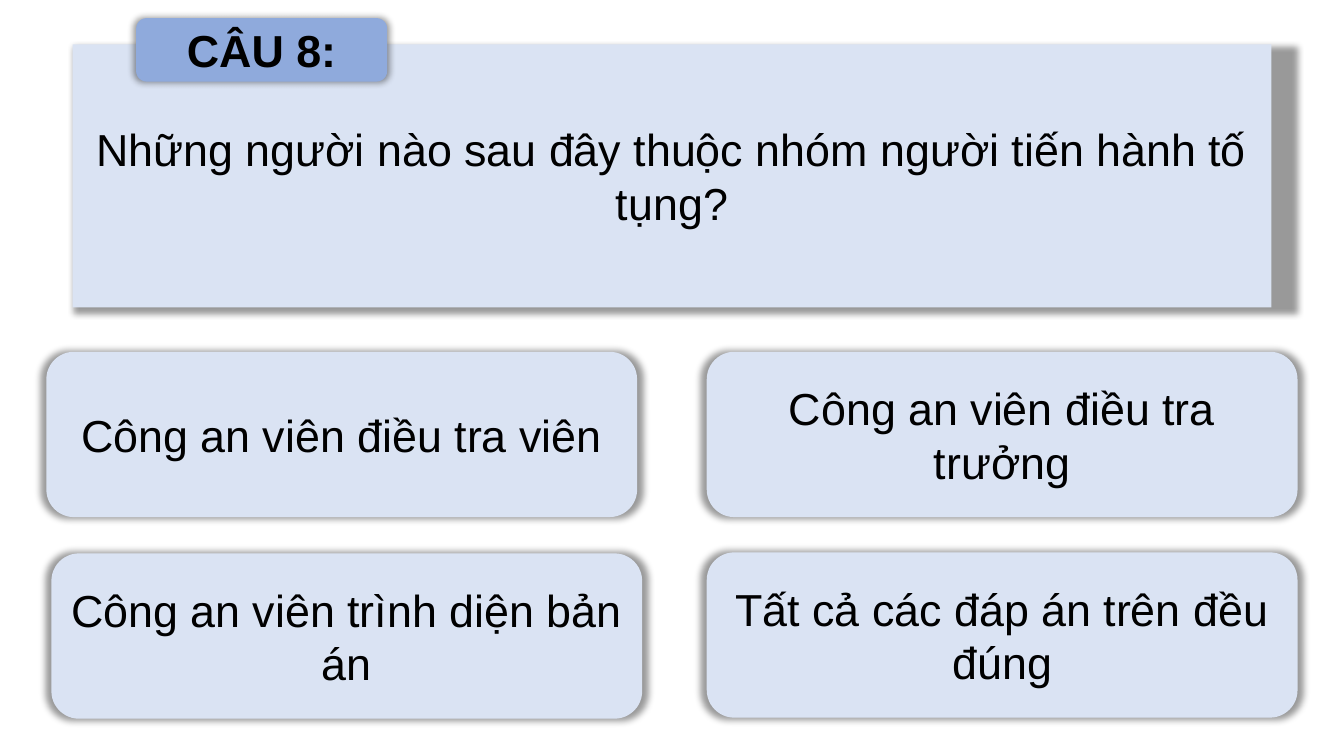
"""Build a quiz slide with one question and four answer cards."""
from lxml import etree
from pptx import Presentation
from pptx.dml.color import RGBColor
from pptx.enum.shapes import MSO_SHAPE
from pptx.enum.text import MSO_ANCHOR, MSO_AUTO_SIZE, PP_ALIGN
from pptx.oxml import parse_xml
from pptx.oxml.ns import nsdecls, qn
from pptx.util import Inches, Pt

COLORS = {"card": "DAE3F3", "badge": "8FAADC", "text": "000000", "shadow": "000000"}
FONT = {"name": "Arial", "size": Pt(32), "bold": False}
FRAME = {
    "word_wrap": True,
    "auto_size": MSO_AUTO_SIZE.NONE,
    "vertical_anchor": MSO_ANCHOR.MIDDLE,
}
ANSWER_SIZE = (5.86, 1.64)
ANSWERS = [
    ("Công an viên điều tra viên", 0.46, 3.49),
    ("Công an viên điều tra trưởng", 7.01, 3.49),
    ("Công an viên trình diện bản án", 0.51, 5.49),
    ("Tất cả các đáp án trên đều đúng", 7.01, 5.48),
]


def apply(target, values):
    for name, value in values.items():
        setattr(target, name, value)


def add_glow_shadow(card):
    card.shadow.inherit = False
    effects = card._element.spPr.find(qn("a:effectLst"))
    effects.append(parse_xml(
        f'<a:outerShdw {nsdecls("a")} blurRad="{Pt(5)}" sx="102000" sy="102000" '
        f'algn="ctr" rotWithShape="0"><a:srgbClr val="{COLORS["shadow"]}">'
        '<a:alpha val="40000"/></a:srgbClr></a:outerShdw>'))


def style_card(card, text, color="card", bold=False):
    card.fill.solid()
    card.fill.fore_color.rgb = RGBColor.from_string(COLORS[color])
    card.line.fill.background()
    add_glow_shadow(card)
    frame = card.text_frame
    apply(frame, FRAME)
    frame.text = text
    paragraph = frame.paragraphs[0]
    paragraph.alignment = PP_ALIGN.CENTER
    font = paragraph.runs[0].font
    apply(font, {**FONT, "bold": bold})
    font.color.rgb = RGBColor.from_string(COLORS["text"])


def add_card(slide, text, box, **style):
    card = slide.shapes.add_shape(MSO_SHAPE.ROUNDED_RECTANGLE, *map(Inches, box))
    style_card(card, text, **style)


def set_question(slide, text, box):
    question = slide.shapes.title
    apply(question, dict(zip(("left", "top", "width", "height"), map(Inches, box))))
    outline = etree.SubElement(question._element.spPr, qn("a:prstGeom"), prst="roundRect")
    etree.SubElement(outline, qn("a:avLst"))
    style_card(question, text)


def main():
    deck = Presentation()
    deck.slide_width, deck.slide_height = Inches(13.33), Inches(7.5)
    slide = deck.slides.add_slide(deck.slide_layouts.get_by_name("Title Only"))
    set_question(slide, "Những người nào sau đây thuộc nhóm người tiến hành tố tụng?",
                 (0.72, 0.44, 11.89, 2.61))
    for answer, left, top in ANSWERS:
        add_card(slide, answer, (left, top, *ANSWER_SIZE))
    add_card(slide, "CÂU 8:", (1.35, 0.18, 2.49, 0.63), color="badge", bold=True)
    deck.save("out.pptx")


if __name__ == "__main__":
    main()
